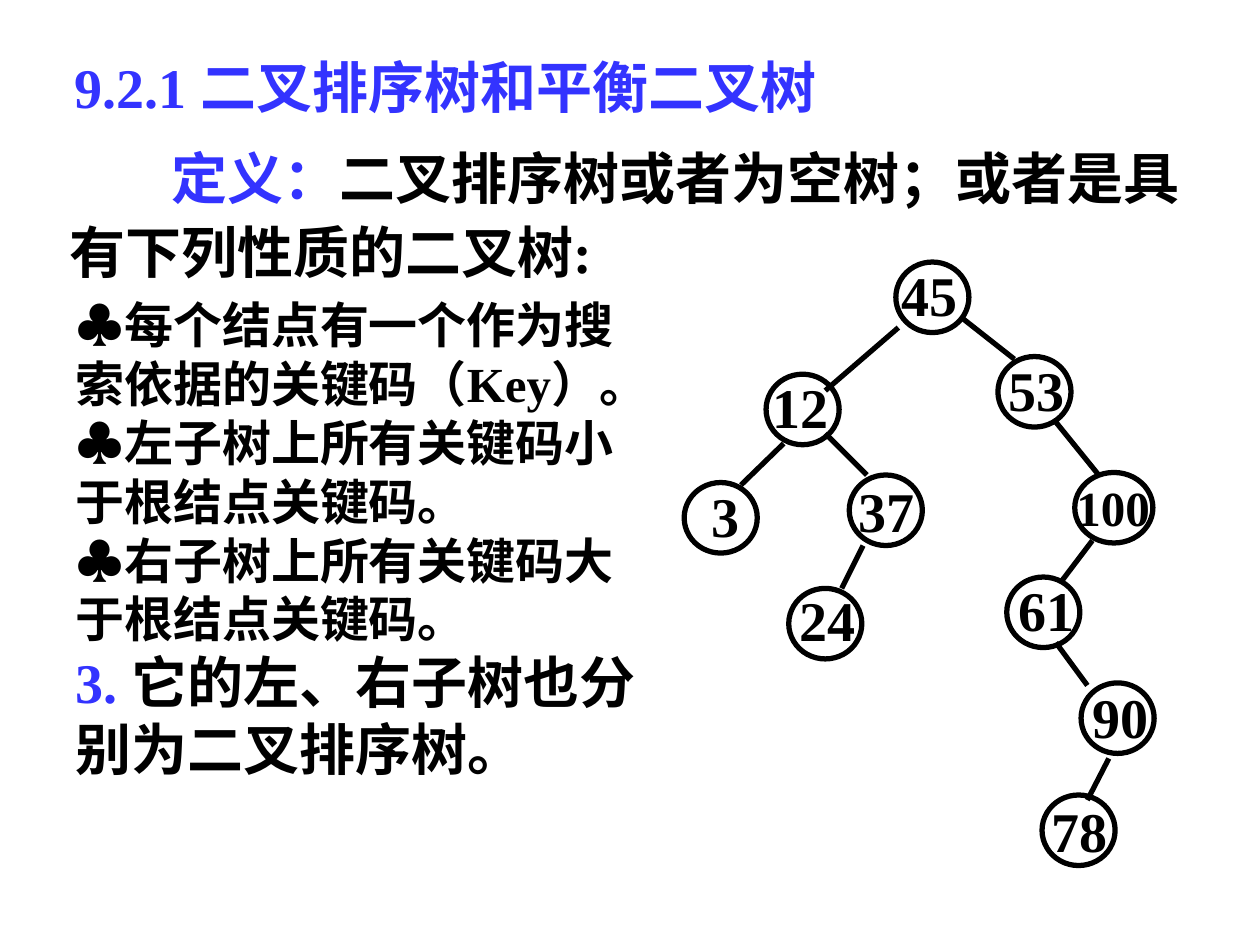
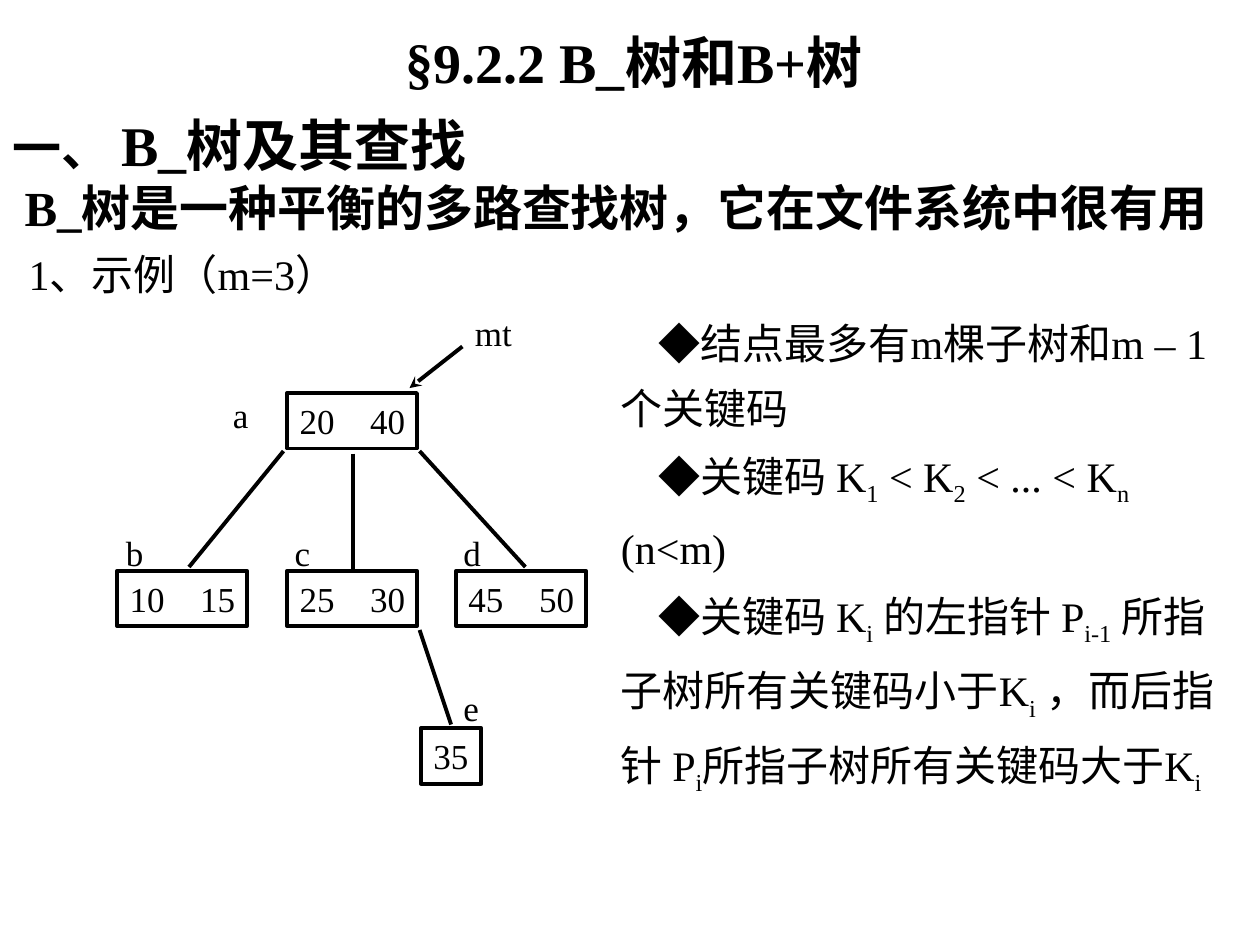
from dataclasses import dataclass

from lxml import etree
from pptx import Presentation
from pptx.dml.color import RGBColor
from pptx.enum.shapes import MSO_CONNECTOR, MSO_SHAPE
from pptx.enum.text import MSO_AUTO_SIZE, PP_ALIGN
from pptx.oxml.ns import qn
from pptx.util import Inches, Pt

OVAL, RECT = MSO_SHAPE.OVAL, MSO_SHAPE.RECTANGLE
STRAIGHT = MSO_CONNECTOR.STRAIGHT
LEFT, CENTER = PP_ALIGN.LEFT, PP_ALIGN.CENTER
GROW = MSO_AUTO_SIZE.SHAPE_TO_FIT_TEXT


@dataclass(frozen=True)
class Theme:
    ink: RGBColor = RGBColor(0x00, 0x00, 0x00)
    accent: RGBColor = RGBColor(0x33, 0x33, 0xFF)
    font: str = "Times New Roman"
    symbol_font: str = "Arial"
    head: int = 32
    lead: int = 28
    body: int = 24
    label: int = 20
    tree_line: float = 3
    node_line: float = 2.25


T = Theme()


# Text
def add_run(p, text, size, bold=False, color=T.ink, font=T.font, sub=False):
    r = p.add_run()
    r.text = text
    r.font.size, r.font.bold, r.font.name = Pt(size), bold, font
    r.font.color.rgb = color
    if sub:
        r._r.get_or_add_rPr().set("baseline", "-25000")


def add_paragraph(tf, first=False, indent=0, spacing=None, align=None):
    p = tf.paragraphs[0] if first else tf.add_paragraph()
    pPr = p._p.get_or_add_pPr()
    pPr.set("hangingPunct", "0")
    if indent:
        pPr.set("indent", str(Inches(indent)))
    p.line_spacing, p.alignment = spacing, align
    return p


def add_box(s, left, top, width, height, wrap=True):
    sp = s.shapes.add_textbox(Inches(left), Inches(top), Inches(width), Inches(height))
    tf = sp.text_frame
    tf.word_wrap, tf.auto_size = wrap, GROW
    return tf


def add_line_of_text(s, box, text, size, wrap=True, align=None, **style):
    p = add_paragraph(add_box(s, *box, wrap=wrap), first=True, align=align)
    add_run(p, text, size, **style)


# Shapes and lines
def add_outline(s, kind, left, top, width, height, weight):
    sp = s.shapes.add_shape(kind, Inches(left), Inches(top), Inches(width), Inches(height))
    sp.shadow.inherit = False
    sp.fill.background()
    sp.line.color.rgb, sp.line.width = T.ink, Pt(weight)
    return sp


def add_edge(s, x1, y1, x2, y2, weight, arrow=False):
    c = s.shapes.add_connector(STRAIGHT, Inches(x1), Inches(y1), Inches(x2), Inches(y2))
    c.line.color.rgb, c.line.width = T.ink, Pt(weight)
    if arrow:
        etree.SubElement(c.line._get_or_add_ln(), qn("a:tailEnd"), type="stealth")
    etree.SubElement(c._element.spPr, qn("a:effectLst"))


def add_tree_node(s, key, text_left, text_top, text_width, left, top):
    long_key = len(key) > 2
    size, height, width = (T.lead, 0.57, 0.62) if long_key else (T.head, 0.64, 0.58)
    add_line_of_text(s, (text_left, text_top, text_width, height), key, size,
                     align=CENTER, bold=True)
    add_outline(s, OVAL, left, top, width, 0.56, T.tree_line)


def add_key_box(s, keys, left, top):
    width = 1.03 if len(keys) > 1 else 0.48
    sp = add_outline(s, RECT, left, top, width, 0.44, T.node_line)
    tf = sp.text_frame
    tf.word_wrap, tf.margin_right = True, Inches(0.05)
    p = add_paragraph(tf, first=True, align=LEFT)
    tabs = etree.SubElement(p._p.get_or_add_pPr(), qn("a:tabLst"))
    etree.SubElement(tabs, qn("a:tab"), pos=str(Inches(0.56)), algn="l")
    add_run(p, "\t".join(keys), T.label)


# Slide 1: binary search tree
RULES = ("每个结点有一个作为搜索依据的关键码（Key）。",
         "左子树上所有关键码小于根结点关键码。",
         "右子树上所有关键码大于根结点关键码。")

# key, text left / top / width, circle left / top
TREE_NODES = (
    ("45", 7.04, 2.02, 0.67, 7.11, 2.08),
    ("12", 5.98, 2.91, 0.75, 6.08, 2.97),
    ("53", 7.89, 2.77, 0.67, 7.92, 2.83),
    ("3", 5.51, 3.77, 0.5, 5.43, 3.83),
    ("37", 6.67, 3.73, 0.74, 6.74, 3.77),
    ("100", 8.42, 3.74, 0.83, 8.53, 3.75),
    ("24", 6.19, 4.6, 0.75, 6.26, 4.67),
    ("61", 7.97, 4.52, 0.67, 7.99, 4.58),
    ("90", 8.56, 5.37, 0.67, 8.58, 5.42),
    ("78", 8.19, 6.27, 0.75, 8.27, 6.31),
)

TREE_EDGES = (
    (7.13, 2.6, 6.55, 3.1), (7.63, 2.52, 8.05, 2.85),
    (6.22, 3.52, 5.88, 3.85), (6.55, 3.44, 6.88, 3.77),
    (8.38, 3.35, 8.72, 3.77), (6.85, 4.33, 6.68, 4.67),
    (8.67, 4.29, 8.42, 4.62), (8.38, 5.1, 8.63, 5.44),
    (8.8, 6.02, 8.63, 6.35),
)


def build_search_tree(s):
    add_line_of_text(s, (0.49, 0.37, 6.51, 0.64), "9.2.1 二叉排序树和平衡二叉树",
                     T.head, bold=True, color=T.accent)

    # Definition
    p = add_paragraph(add_box(s, 0.45, 1.04, 9.28, 1.28), first=True,
                      indent=0.81, spacing=1.1)
    add_run(p, "定义：", T.head, bold=True, color=T.accent)
    add_run(p, "二叉排序树或者为空树；或者是具有下列性质的二叉树:", T.head, bold=True)

    # Properties
    tf = add_box(s, 0.5, 2.29, 4.75, 3.97)
    for i, rule in enumerate(RULES):
        p = add_paragraph(tf, first=i == 0)
        add_run(p, "♣", T.lead, bold=True, font=T.symbol_font)
        add_run(p, rule, T.lead, bold=True)
    p = add_paragraph(tf)
    add_run(p, "3. ", T.head, bold=True, color=T.accent)
    add_run(p, "它的左、右子树也分别为二叉排序树。", T.head, bold=True)

    # Tree
    for node in TREE_NODES:
        add_tree_node(s, *node)
    for edge in TREE_EDGES:
        add_edge(s, *edge, T.tree_line)


# Slide 2: B-tree
# In each paragraph every second piece is a subscript
B_TREE_RULES = (
    ("◆结点最多有m棵子树和m – 1 个关键码",),
    ("◆关键码 K", "1", " < K", "2", " < ... < K", "n", " (n<m)"),
    ("◆关键码 K", "i", " 的左指针 P", "i-1", " 所指子树所有关键码小于K", "i",
     " ，而后指针 P", "i", "所指子树所有关键码大于K", "i"),
)

KEY_BOXES = (
    (("20", "40"), 2.28, 3.12),
    (("10", "15"), 0.93, 4.53),
    (("25", "30"), 2.28, 4.53),
    (("45", "50"), 3.62, 4.53),
    (("35",), 3.34, 5.78),
)

POINTERS = ((2.8, 3.6, 2.8, 4.52), (2.25, 3.58, 1.5, 4.5),
            (3.33, 3.58, 4.17, 4.5), (3.33, 5, 3.58, 5.75))

# text, left, top, width
NODE_LABELS = (("mt", 3.67, 2.42, 0.55), ("a", 1.75, 3.07, 0.32),
               ("b", 0.9, 4.17, 0.34), ("c", 2.24, 4.17, 0.32),
               ("d", 3.58, 4.17, 0.34), ("e", 3.58, 5.4, 0.32))


def build_b_tree(s):
    add_line_of_text(s, (3.12, 0.17, 4.15, 0.64), "§9.2.2 B_树和B+树",
                     T.head, wrap=False, bold=True)

    # Section heading and example caption
    tf = add_box(s, 0, 0.83, 10, 1.1)
    p = add_paragraph(tf, first=True)
    add_run(p, "一、 ", T.lead, bold=True)
    add_run(p, "B_树及其查找", T.head, bold=True)
    add_run(add_paragraph(tf), " B_树是一种平衡的多路查找树，它在文件系统中很有用",
            T.lead, bold=True)
    add_line_of_text(s, (0.13, 1.92, 3.1, 0.5), "1、示例（m=3）", T.body)

    # Rules
    tf = add_box(s, 4.83, 2.35, 5, 4.62)
    for i, pieces in enumerate(B_TREE_RULES):
        p = add_paragraph(tf, first=i == 0, indent=0.3, spacing=1.3)
        for j, piece in enumerate(pieces):
            add_run(p, piece, T.body, sub=j % 2 == 1)

    # Example tree
    for key_box in KEY_BOXES:
        add_key_box(s, *key_box)
    for pointer in POINTERS:
        add_edge(s, *pointer, T.node_line)
    add_edge(s, 3.67, 2.75, 3.25, 3.08, T.node_line, arrow=True)
    for text, left, top, width in NODE_LABELS:
        add_line_of_text(s, (left, top, width, 0.44), text, T.label)


def main():
    prs = Presentation()
    prs.slide_width, prs.slide_height = Inches(10), Inches(7.5)
    blank = prs.slide_layouts[6]
    for build in (build_search_tree, build_b_tree):
        build(prs.slides.add_slide(blank))
    prs.save("out.pptx")


if __name__ == "__main__":
    main()
